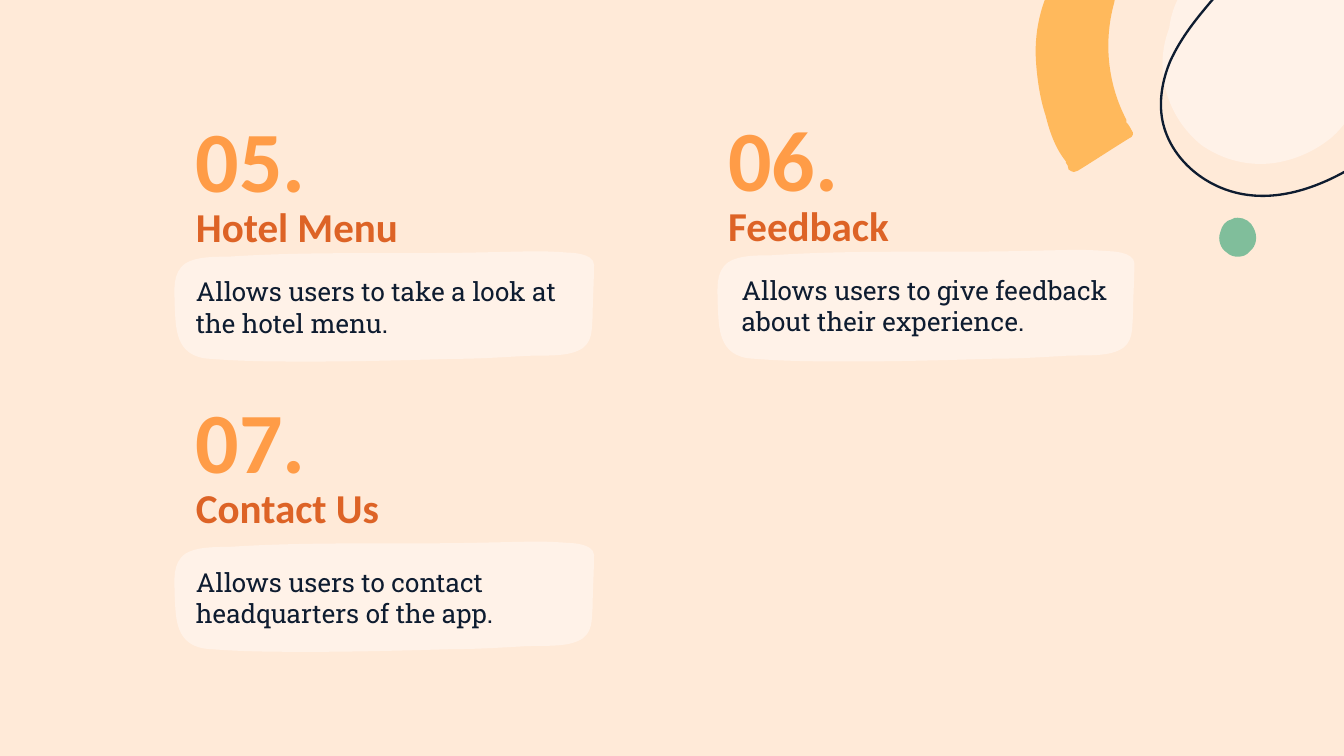
from dataclasses import dataclass

from lxml import etree
from pptx import Presentation
from pptx.dml.color import RGBColor
from pptx.enum.text import MSO_ANCHOR
from pptx.oxml.ns import qn
from pptx.util import Inches, Pt

MIDDLE = MSO_ANCHOR.MIDDLE


@dataclass(frozen=True)
class Theme:
    background: str = "FFEAD8"
    cream: str = "FFF2E8"
    navy: str = "0E1C30"
    number: str = "FF9C47"
    heading: str = "DD6326"
    amber: str = "FFB95C"
    green: str = "80BE9B"
    title_font: str = "Calibri"
    body_font: str = "Roboto Slab"
    number_size: int = 46
    heading_size: int = 22
    body_size: int = 14


THEME = Theme()

# Outlines: first a start point, then lines (x, y) and cubic curves
# (control 1, control 2, end), in inches from the corner of the box.
NOTE = [
    (2.73, 0), (2.71, 0, 2.69, 0, 2.67, 0), (2.21, 0.01),
    (1.61, 0.02, 1.01, 0, 0.42, 0.04), (0.31, 0.04, 0.18, 0.04, 0.1, 0.09),
    (0, 0.16, 0.02, 0.29, 0.02, 0.39), (0.03, 0.55, 0.01, 0.79, 0.29, 0.8),
    (0.54, 0.82, 0.79, 0.82, 1.03, 0.82), (1.39, 0.82, 1.74, 0.81, 2.09, 0.8),
    (2.26, 0.8, 2.43, 0.79, 2.6, 0.78), (2.73, 0.77, 2.91, 0.79, 3.02, 0.74),
    (3.14, 0.69, 3.12, 0.57, 3.13, 0.49), (3.13, 0.36, 3.14, 0.23, 3.14, 0.1),
    (3.14, 0.01, 2.95, 0.01, 2.95, 0.01), (2.95, 0.01, 2.83, 0, 2.73, 0),
]
DISC = [
    (0.78, 0), (0.71, 0, 0.64, 0.01, 0.57, 0.03),
    (0.33, 0.12, 0.15, 0.33, 0.12, 0.59), (0, 0.9, 0.1, 1.25, 0.36, 1.46),
    (0.49, 1.55, 0.64, 1.6, 0.8, 1.6), (0.98, 1.6, 1.17, 1.53, 1.32, 1.41),
    (1.59, 1.18, 1.65, 0.77, 1.49, 0.44), (1.36, 0.18, 1.08, 0, 0.78, 0),
]
LOOP = [
    (2.11, 1.31), (1.91, 1.53, 1.71, 1.76, 1.47, 1.92),
    (1.22, 2.08, 0.92, 2.2, 0.63, 2.16), (0.33, 2.12, 0.06, 1.9, 0, 1.61),
    (-0.03, 1.46, 0, 1.3, 0.06, 1.16), (0.13, 1.01, 0.22, 0.89, 0.32, 0.77),
    (0.56, 0.48, 0.84, 0.22, 1.15, 0),
]
ARC = [
    (0.3, 1.48), (0.31, 1.48, 0.32, 1.48, 0.33, 1.47),
    (0.46, 1.39, 0.58, 1.31, 0.71, 1.23), (0.74, 1.22, 0.75, 1.19, 0.73, 1.17),
    (0.72, 1.15, 0.71, 1.13, 0.69, 1.11), (0.69, 1.1, 0.69, 1.1, 0.69, 1.09),
    (0.55, 0.82, 0.52, 0.51, 0.6, 0.22), (0.61, 0.19, 0.6, 0.17, 0.58, 0.16),
    (0.22, 0.01), (0.22, 0, 0.21, 0, 0.21, 0), (0.19, 0, 0.18, 0.01, 0.17, 0.02),
    (0.05, 0.22, 0, 0.45, 0.02, 0.68), (0.03, 0.81, 0.05, 0.94, 0.09, 1.06),
    (0.12, 1.18, 0.16, 1.3, 0.24, 1.4), (0.24, 1.4, 0.24, 1.41, 0.24, 1.41),
    (0.25, 1.42, 0.26, 1.44, 0.26, 1.46), (0.27, 1.47, 0.29, 1.48, 0.3, 1.48),
]
DOT = [
    (0.15, 0), (0.13, 0, 0.12, 0, 0.11, 0.01),
    (0.06, 0.02, 0.03, 0.06, 0.02, 0.11), (0, 0.16, 0.02, 0.23, 0.07, 0.26),
    (0.09, 0.28, 0.12, 0.29, 0.15, 0.29), (0.18, 0.29, 0.22, 0.28, 0.24, 0.25),
    (0.29, 0.21, 0.3, 0.14, 0.27, 0.08), (0.25, 0.03, 0.2, 0, 0.15, 0),
]


def add_outline(slide, x, y, outline, fill=None, line=None):
    """Draw an outline at x, y, filled and closed or as an open line."""
    start, *segments = outline
    points = [(Inches(x + seg[i]), Inches(y + seg[i + 1]))
              for seg in segments for i in range(0, len(seg), 2)]
    builder = slide.shapes.build_freeform(Inches(x + start[0]), Inches(y + start[1]))
    builder.add_line_segments(points, close=fill is not None)
    sp = builder.convert_to_shape()
    sp.shadow.inherit = False

    # Gather each three control points into one cubic curve
    nodes = iter(list(sp._element.iter(qn("a:lnTo"))))
    for seg in segments:
        node = next(nodes)
        if len(seg) == 6:
            curve = etree.Element(qn("a:cubicBezTo"))
            node.addprevious(curve)
            for part in (node, next(nodes), next(nodes)):
                curve.append(part[0])
                part.getparent().remove(part)

    if fill:
        sp.fill.solid()
        sp.fill.fore_color.rgb = RGBColor.from_string(fill)
    else:
        sp.fill.background()
    if line:
        sp.line.color.rgb = RGBColor.from_string(line)
        sp.line.width = Pt(1.25)
    else:
        sp.line.fill.background()
    return sp


def add_text(slide, x, y, w, h, text, font, size, color, bold=False):
    box = slide.shapes.add_textbox(Inches(x), Inches(y), Inches(w), Inches(h))
    tf = box.text_frame
    tf.word_wrap = True
    tf.vertical_anchor = MIDDLE
    tf.margin_left = tf.margin_right = tf.margin_top = tf.margin_bottom = Inches(0.1)
    tf.text = text
    f = tf.paragraphs[0].runs[0].font
    f.name, f.size, f.bold = font, Pt(size), bold
    f.color.rgb = RGBColor.from_string(color)


def add_decoration(slide, x, y):
    """Corner ornament; x, y is the left end of the arc at the slide's top."""
    add_outline(slide, x + 0.89, y - 0.38, DISC, fill=THEME.cream)
    add_outline(slide, x + 0.96, y - 0.71, LOOP, line=THEME.navy)
    add_outline(slide, x, y - 0.2, ARC, fill=THEME.amber)
    add_outline(slide, x + 1.37, y + 1.62, DOT, fill=THEME.green)


def add_feature(slide, x, y, number, heading, body,
                title_inset, body_inset, drop, note_w, note_h):
    """Number and heading above a note, which starts drop below y."""
    t = THEME
    note = add_outline(slide, x, y + drop, NOTE, fill=t.cream)
    note.width, note.height = Inches(note_w), Inches(note_h)
    add_text(slide, x + title_inset, y + 0.57, 3.03, 0.39, heading,
             t.title_font, t.heading_size, t.heading, bold=True)
    add_text(slide, x + title_inset, y, 1.1, 0.52, number,
             t.title_font, t.number_size, t.number, bold=True)
    add_text(slide, x + body_inset, y + drop + 0.15, 2.93, 0.53, body,
             t.body_font, t.body_size, t.navy)


def main():
    prs = Presentation()
    prs.slide_width = Inches(10)
    prs.slide_height = prs.slide_width * 9 // 16
    slide = prs.slides.add_slide(prs.slide_layouts[6])
    slide.background.fill.solid()
    slide.background.fill.fore_color.rgb = RGBColor.from_string(THEME.background)

    add_decoration(slide, 7.69, 0)

    # Features: left, top, number, heading, body, insets, drop, note size
    features = [
        (1.28, 0.92, "05.", "Hotel Menu",
         "Allows users to take a look at the hotel menu.",
         0.08, 0.08, 0.95, 3.14, 0.82),
        (5.32, 0.91, "06.", "Feedback",
         "Allows users to give feedback about their experience.",
         0, 0.1, 0.95, 3.12, 0.83),
        (1.28, 3.01, "07.", "Contact Us",
         "Allows users to contact headquarters of the app.",
         0.08, 0.08, 1.02, 3.14, 0.82),
    ]
    for feature in features:
        add_feature(slide, *feature)

    prs.save("out.pptx")


if __name__ == "__main__":
    main()
